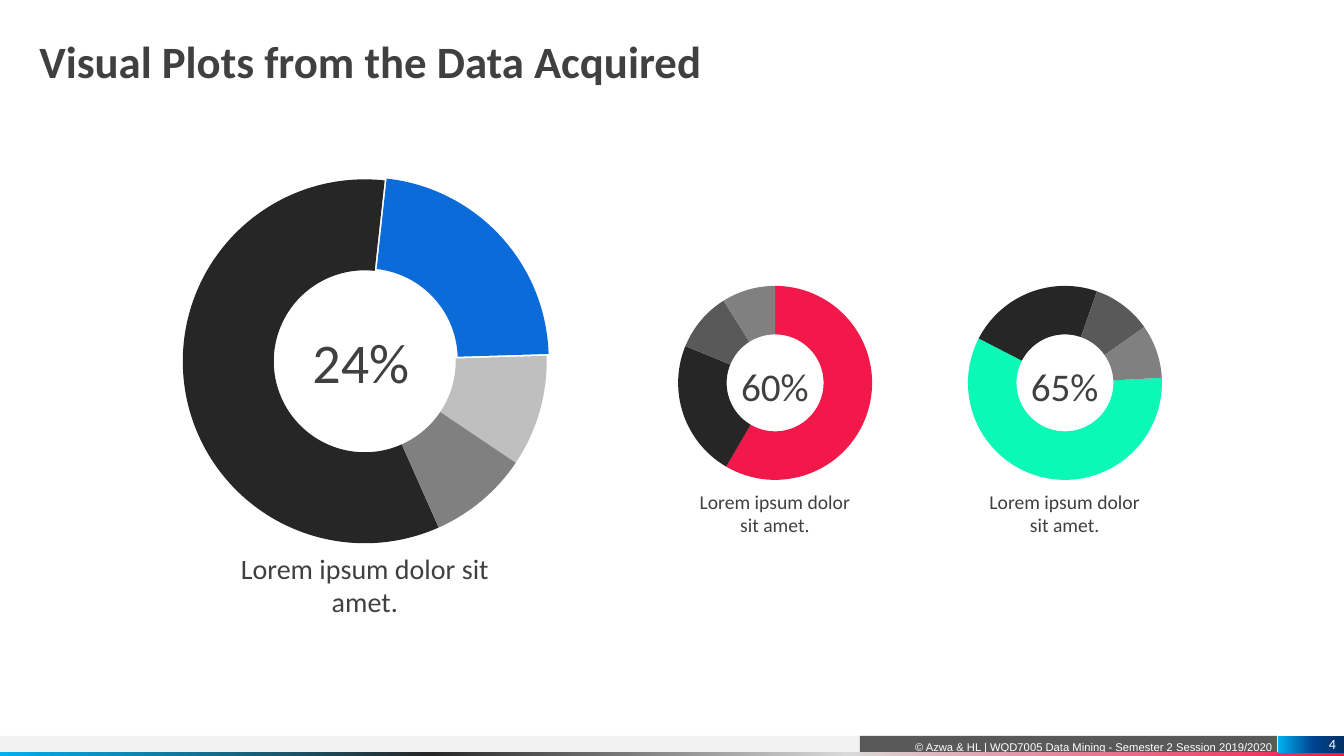
from pptx import Presentation
from pptx import util as u
from pptx.chart.data import CategoryChartData
from pptx.dml.color import RGBColor
from pptx.enum import chart as ch, shapes, text
from pptx.oxml import parse_xml
from pptx.oxml.ns import nsdecls, qn

Pt = u.Pt
INK, BLACK, DARK, GREY, SILVER = "404040", "262626", "595959", "808080", "BFBFBF"
LEFT, CENTER, RIGHT = text.PP_ALIGN.LEFT, text.PP_ALIGN.CENTER, text.PP_ALIGN.RIGHT
TOP, MIDDLE, BOTTOM = (text.MSO_ANCHOR.TOP, text.MSO_ANCHOR.MIDDLE,
                       text.MSO_ANCHOR.BOTTOM)
VALUES = (59, 23, 10, 9)


def rgb(value):
    return RGBColor.from_string(value)


def box(at):
    return [Pt(v) for v in at]


def write(sp, words, size, color=INK, font="Calibri", bold=False, align=CENTER,
          anchor=TOP, insets=(0, 0, 0, 0), spacing=None):
    tf = sp.text_frame
    tf.word_wrap = True
    tf.vertical_anchor = anchor
    tf.margin_left, tf.margin_top, tf.margin_right, tf.margin_bottom = box(insets)
    p = tf.paragraphs[0]
    p.text = words
    p.alignment = align
    if spacing:
        p.line_spacing = spacing
    for r in p.runs:
        r.font.size = Pt(size)
        r.font.name = font
        r.font.bold = bold
        r.font.color.rgb = rgb(color)


def label(s, at, words, size, **fmt):
    write(s.shapes.add_textbox(*box(at)), words, size, **fmt)


def bar(s, at, fill=None, stops=None):
    sp = s.shapes.add_shape(shapes.MSO_SHAPE.RECTANGLE, *box(at))
    sp.shadow.inherit = False
    sp.line.fill.background()
    if fill:
        sp.fill.solid()
        sp.fill.fore_color.rgb = rgb(fill)
    else:
        # Gradient running from right to left, directly after the geometry
        gs = "".join(f'<a:gs pos="{pos * 1000}"><a:srgbClr val="{c}"/></a:gs>'
                     for pos, c in stops)
        sp._element.spPr.insert(2, parse_xml(
            f'<a:gradFill {nsdecls("a")} rotWithShape="1"><a:gsLst>{gs}</a:gsLst>'
            '<a:lin ang="10800000" scaled="0"/></a:gradFill>'))
    return sp


def donut(s, at, colors, start, ring, exploded=None):
    """Doughnut chart whose plot area is a centred square of side ring."""
    data = CategoryChartData()
    data.categories = ["1", "2", "3", "4"]
    data.add_series("Series 1", VALUES)
    chart = s.shapes.add_chart(ch.XL_CHART_TYPE.DOUGHNUT, *box(at), data).chart
    chart.has_legend = False
    chart.has_title = False
    chart.font.size = Pt(10)
    chart.font.name = "DejaVu Sans Mono"
    chart.font.color.rgb = rgb("000000")
    plot = chart.plots[0]
    plot.vary_by_categories = True
    plot.has_data_labels = False
    for i, color in enumerate(colors):
        fmt = plot.series[0].points[i].format
        fmt.fill.solid()
        fmt.fill.fore_color.rgb = rgb(color)
        fmt.line.fill.background()

    # Rotation, hole, pulled-out slice and plot area
    root = chart._chartSpace
    next(root.iter(qn("c:firstSliceAng"))).set("val", str(start))
    next(root.iter(qn("c:holeSize"))).set("val", "60")
    if exploded is not None:
        dpt = list(root.iter(qn("c:dPt")))[exploded]
        dpt.find(qn("c:spPr")).addprevious(
            parse_xml(f'<c:explosion {nsdecls("c")} val="3"/>'))
    w, h = ring / at[2], ring / at[3]
    area = next(root.iter(qn("c:plotArea")))
    for old in area.findall(qn("c:layout")):
        area.remove(old)
    area.insert(0, parse_xml(
        f'<c:layout {nsdecls("c")}><c:manualLayout><c:layoutTarget val="inner"/>'
        '<c:xMode val="edge"/><c:yMode val="edge"/>'
        f'<c:x val="{(1 - w) / 2:.4f}"/><c:y val="{(1 - h) / 2:.4f}"/>'
        f'<c:w val="{w:.4f}"/><c:h val="{h:.4f}"/></c:manualLayout></c:layout>'))


def main():
    prs = Presentation()
    prs.slide_width, prs.slide_height = Pt(960), Pt(540)
    s = prs.slides.add_slide(prs.slide_layouts[6])
    inner = (7.2, 3.6, 7.2, 3.6)

    # Footer
    bar(s, (-0.7, 525.6, 740.9, 11.5), "F2F2F2")
    credit = bar(s, (614.2, 525.6, 298, 13), DARK)
    write(credit, "© Azwa & HL | WQD7005 Data Mining - Semester 2 Session 2019/2020",
          8, color="FFFFFF", font="Arial", align=RIGHT, anchor=BOTTOM,
          insets=(7.2, 0, 2.9, 0))
    bar(s, (-0.7, 537.1, 960.7, 2.9),
        stops=[(0, "F2194A"), (37, "D9D9D9"), (68, BLACK), (100, "00B0F0")])

    # Title
    label(s, (28.1, 28.1, 903.6, 42.5), "Visual Plots from the Data Acquired", 32,
          bold=True, align=LEFT, spacing=0.9)

    # Large doughnut
    donut(s, (120.2, 107.3, 280.8, 301.7), (BLACK, "0B6CD9", SILVER, GREY), 156,
          260, exploded=1)
    label(s, (166.3, 230.4, 182.9, 55.4), "24%", 40, insets=inner)
    label(s, (149, 393.8, 223.2, 24.5), "Lorem ipsum dolor sit amet.", 20)

    # Small doughnuts
    small = [("60%", "F2194A", 0), ("65%", "0CF8B6", 87)]
    for i, (share, accent, start) in enumerate(small):
        x = 474.5 + 207 * i
        donut(s, (x, 188.6, 158.4, 169.9), (accent, BLACK, DARK, GREY), start, 138.6)
        label(s, (x + 27.5, 255.6, 103, 41), share, 28, insets=inner)
        label(s, (x + 16, 349.9, 126, 33.8), "Lorem ipsum dolor\vsit amet.", 14)

    # Slide number
    number = bar(s, (913, 525.6, 47, 12.2),
                 stops=[(0, "003065"), (47, "004490"), (100, "00B0F0")])
    write(number, "4", 10, color="FFFFFF", align=RIGHT, anchor=MIDDLE,
          insets=(0, 0, 5.8, 0))

    prs.save("out.pptx")


if __name__ == "__main__":
    main()
